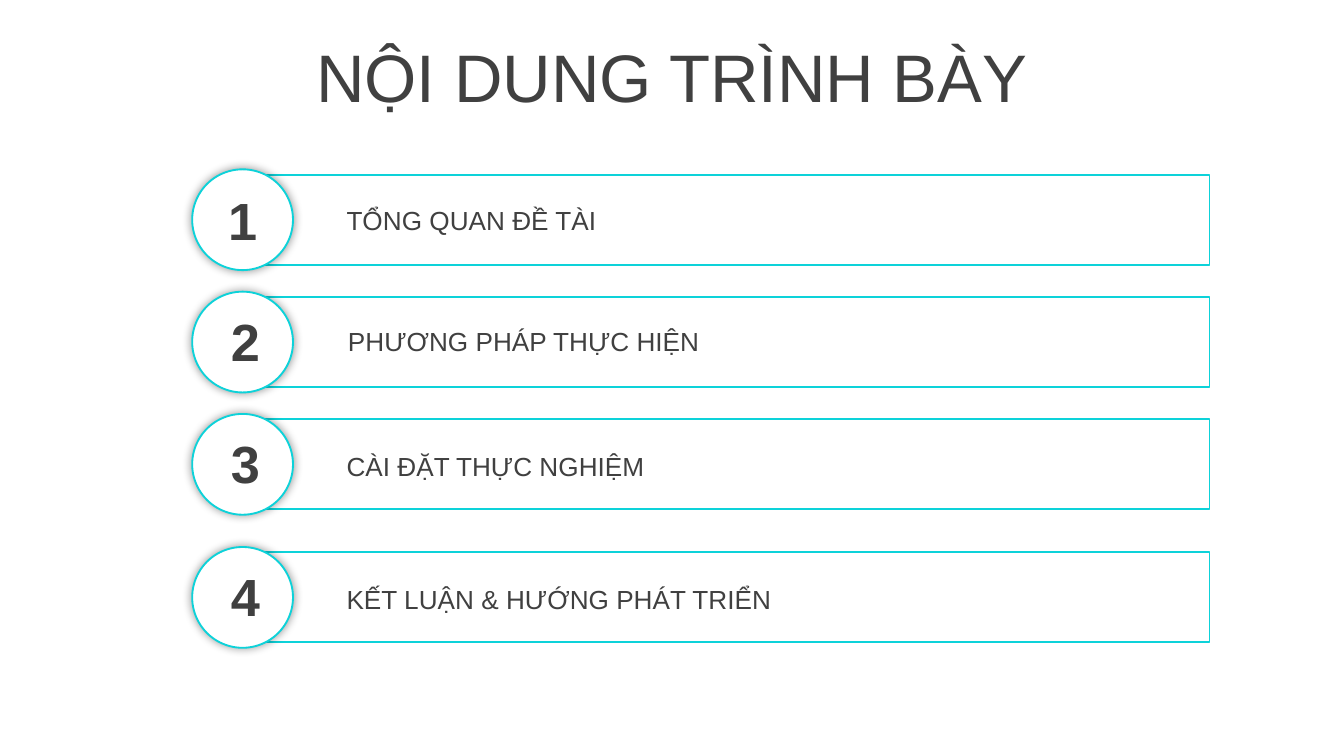
from lxml.etree import SubElement
from pptx import Presentation
from pptx.dml.color import RGBColor
from pptx.enum.shapes import MSO_SHAPE as Shape
from pptx.enum.text import MSO_ANCHOR as Anchor, MSO_AUTO_SIZE as AutoSize, PP_ALIGN as Align
from pptx.oxml.ns import qn
from pptx.util import Inches, Pt

COLORS = {"text": "404040", "accent": "0DD2D9", "paper": "FFFFFF", "shadow": "000000"}

presentation = Presentation()
presentation.slide_width = Inches(10)
presentation.slide_height = Inches(5.625)
column = presentation.slide_width / 100
row = presentation.slide_height / 56.25
slide = presentation.slides.add_slide(presentation.slide_layouts[5])


def place(left, top, width, height):
    return [round(n) for n in (left * column, top * row, width * column, height * row)]


def write(shape, text, size, bold=False, align=Align.LEFT, fit=AutoSize.NONE):
    frame = shape.text_frame
    frame.word_wrap = True
    frame.auto_size = fit
    frame.vertical_anchor = Anchor.MIDDLE
    paragraph = frame.paragraphs[0]
    paragraph.alignment = align
    run = paragraph.add_run()
    run.text = text
    run.font.name = "Arial"
    run.font.size = Pt(size)
    run.font.bold = bold
    run.font.color.rgb = RGBColor.from_string(COLORS["text"])


title = slide.shapes.title
title.left, title.top, title.width, title.height = place(0, 2.5, 100, 6.3)
write(title, "NỘI DUNG TRÌNH BÀY", 36, align=Align.CENTER)

agenda = [
    (13, "TỔNG QUAN ĐỀ TÀI", 24.8, 1.7, 15.7, 0.5),
    (22.1, "PHƯƠNG PHÁP THỰC HIỆN", 24.9, 1.6, 15.9, 0.4),
    (31.2, "CÀI ĐẶT THỰC NGHIỆM", 24.8, 1.8, 15.9, 0.4),
    (41.1, "KẾT LUẬN & HƯỚNG PHÁT TRIỂN", 24.8, 1.8, 15.9, 0.4),
]

for number, (top, topic, topic_left, topic_drop, number_left, number_drop) in enumerate(agenda, 1):
    bar = slide.shapes.add_shape(Shape.RECTANGLE, *place(18.1, top, 71.9, 6.7))
    bar.fill.background()

    label = slide.shapes.add_textbox(*place(topic_left, top + topic_drop, 62.8, 3.4))
    write(label, topic, 14, fit=AutoSize.SHAPE_TO_FIT_TEXT)

    badge = slide.shapes.add_shape(Shape.OVAL, *place(14.3, top - 0.4, 7.5, 7.5))
    badge.fill.solid()
    badge.fill.fore_color.rgb = RGBColor.from_string(COLORS["paper"])

    for shape in (bar, badge):
        shape.shadow.inherit = False
        shape.line.color.rgb = RGBColor.from_string(COLORS["accent"])
        shape.line.width = Pt(1)

    effects = badge.element.spPr.find(qn("a:effectLst"))
    shadow = SubElement(effects, qn("a:outerShdw"), blurRad=str(Pt(5)), dist="0", dir="0",
                        algn="ctr", rotWithShape="0")
    shadow_color = SubElement(shadow, qn("a:srgbClr"), val=COLORS["shadow"])
    SubElement(shadow_color, qn("a:alpha"), val="40000")

    numeral = slide.shapes.add_textbox(*place(number_left, top + number_drop, 4.7, 5.7))
    write(numeral, str(number), 28, bold=True, align=Align.CENTER, fit=AutoSize.SHAPE_TO_FIT_TEXT)

presentation.save("out.pptx")
